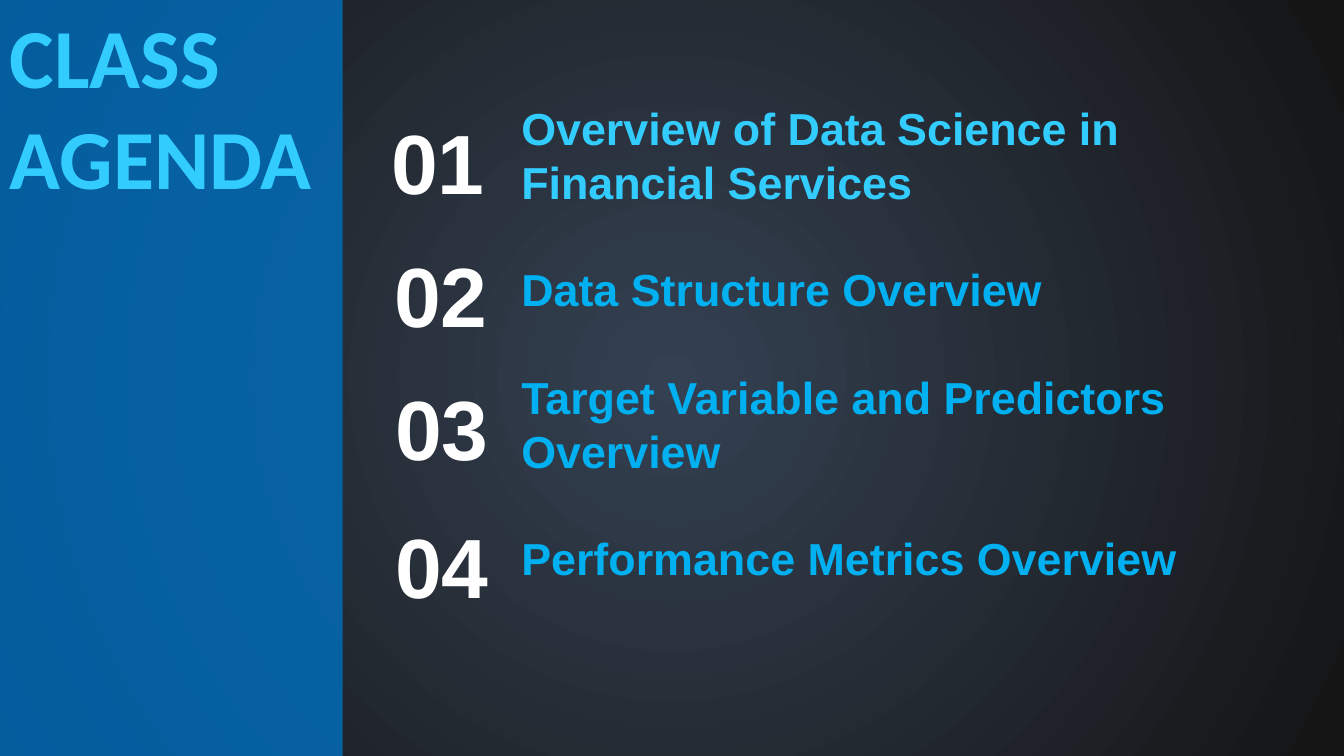
from lxml import etree
from pptx import Presentation
from pptx.dml.color import RGBColor
from pptx.enum.shapes import MSO_SHAPE as Shape
from pptx.enum.text import MSO_ANCHOR as Anchor, PP_ALIGN as Align
from pptx.oxml.ns import qn
from pptx.util import Inches, Pt

TITLE = "CLASS AGENDA"
AGENDA = [
    ("01", 3.88, 1.0, "Overview of Data Science in Financial Services", "sky"),
    ("02", 3.91, 2.32, "Data Structure Overview", "azure"),
    ("03", 3.92, 3.64, "Target Variable and Predictors Overview", "azure"),
    ("04", 3.92, 5.0, "Performance Metrics Overview", "azure"),
]
COLORS = {
    "slate": "344152",
    "black": "141414",
    "panel": "0070C0",
    "sky": "33CCFF",
    "azure": "00B0F0",
    "white": "FFFFFF",
}
SLIDE_W, SLIDE_H = 13.33, 7.5
PANEL_W = 3.4
TOPIC_PITCH = 38.4


def rgb(name):
    return RGBColor.from_string(COLORS[name])


def style(paragraph, font_name, size, color):
    paragraph.alignment = Align.LEFT
    font = paragraph.runs[0].font
    font.name, font.size, font.bold = font_name, Pt(size), True
    font.color.rgb = rgb(color)


def add_rect(slide, width):
    rect = slide.shapes.add_shape(
        Shape.RECTANGLE, 0, 0, Inches(width), Inches(SLIDE_H))
    rect.shadow.inherit = False
    rect.line.fill.background()
    return rect


def add_frame(slide, left, top, width, height, margin_top):
    frame = slide.shapes.add_textbox(
        *map(Inches, (left, top, width, height))).text_frame
    frame.word_wrap = True
    frame.margin_left = frame.margin_right = frame.margin_bottom = 0
    frame.margin_top = Inches(margin_top)
    return frame


def add_backdrop(slide):
    backdrop = add_rect(slide, SLIDE_W)
    backdrop.fill.gradient()
    for stop, position, color in zip(
            backdrop.fill.gradient_stops, (0, 1), ("slate", "black")):
        stop.position = position
        stop.color.rgb = rgb(color)
    gradient = backdrop.fill._xPr.find(qn("a:gradFill"))
    gradient.remove(gradient.find(qn("a:lin")))
    radial = etree.SubElement(gradient, qn("a:path"), path="circle")
    etree.SubElement(radial, qn("a:fillToRect"),
                     {side: "50000" for side in "ltrb"})


def add_topics(slide):
    frame = add_frame(slide, 5.17, 0.98, 7.79, 5.02, 0.02)
    frame.text = "\n".join(topic for _, _, _, topic, _ in AGENDA)
    for index, (paragraph, item) in enumerate(zip(frame.paragraphs, AGENDA)):
        style(paragraph, "Arial", 32, item[-1])
        paragraph.line_spacing = Pt(TOPIC_PITCH)
        if index:
            paragraph.space_before = Pt(TOPIC_PITCH)


def add_title_panel(slide):
    panel = add_rect(slide, PANEL_W)
    panel.fill.solid()
    panel.fill.fore_color.rgb = rgb("panel")
    tint = panel.fill._xPr.find(qn("a:solidFill"))[0]
    etree.SubElement(tint, qn("a:alpha"), val="80000")
    frame = panel.text_frame
    frame.word_wrap = True
    frame.vertical_anchor = Anchor.TOP
    frame.text = TITLE
    style(frame.paragraphs[0], "Calibri", 60, "sky")


def add_numbers(slide):
    for number, left, top, _, _ in AGENDA:
        frame = add_frame(slide, left, top, 0.98, 0.97, 0.1)
        frame.text = number
        style(frame.paragraphs[0], "Arial", 60, "white")


def main():
    deck = Presentation()
    deck.slide_width, deck.slide_height = Inches(SLIDE_W), Inches(SLIDE_H)
    slide = deck.slides.add_slide(deck.slide_layouts[6])
    add_backdrop(slide)
    add_topics(slide)
    add_title_panel(slide)
    add_numbers(slide)
    deck.save("out.pptx")


if __name__ == "__main__":
    main()
